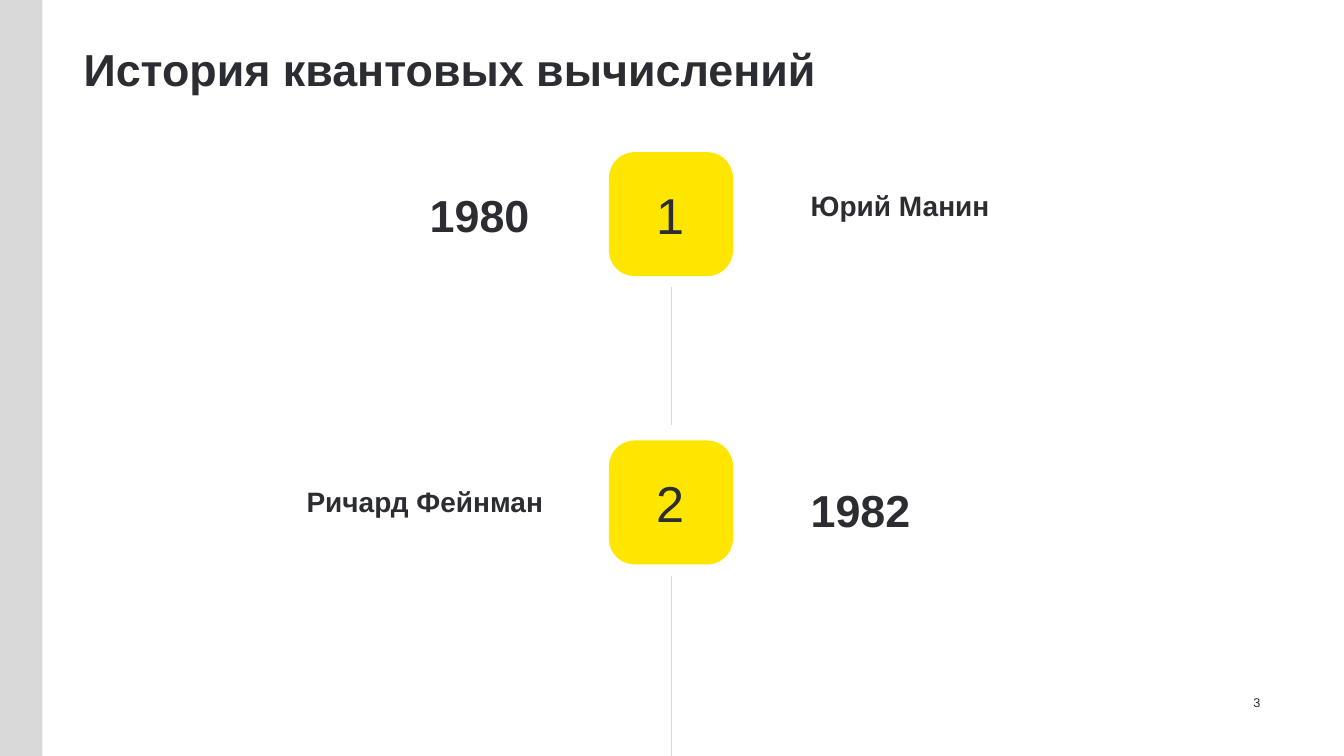
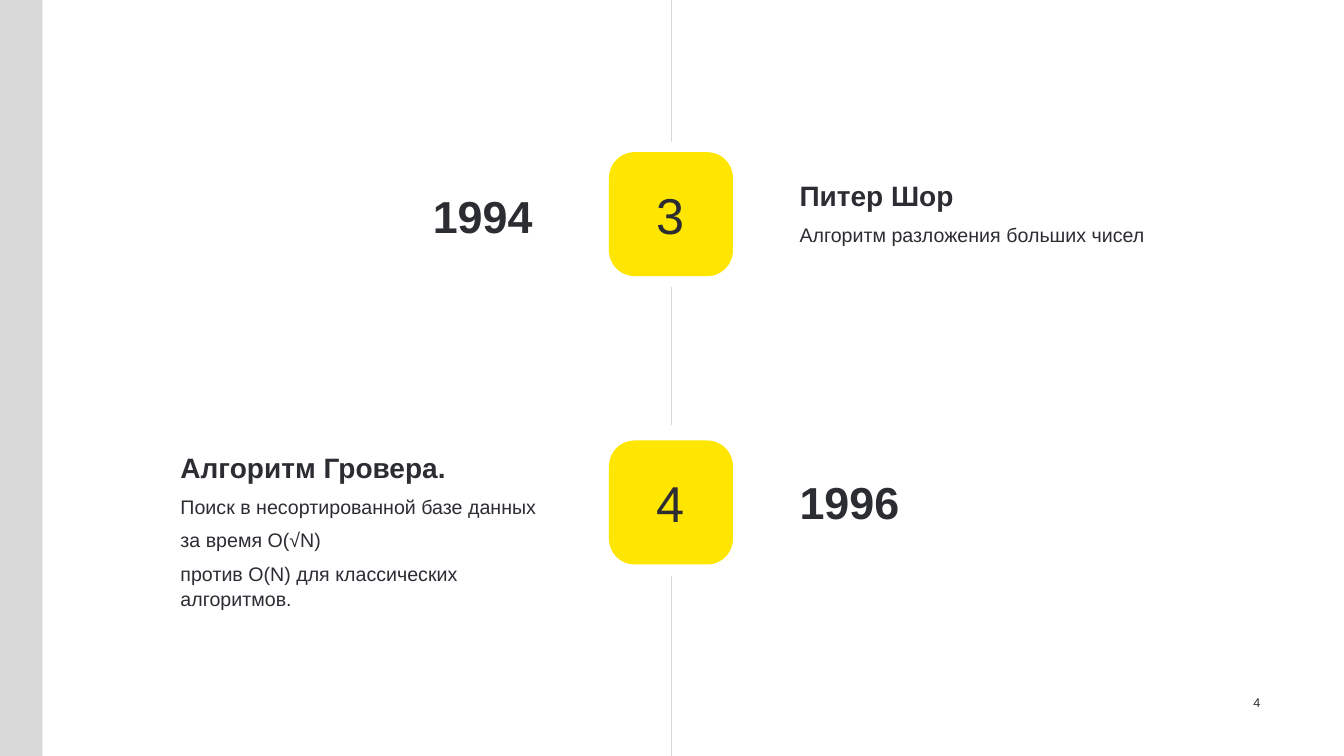
import pptx
import pptx.util
import pptx.dml.color
import pptx.enum.shapes
import pptx.enum.text
import pptx.oxml.ns
import lxml.etree

Inches = pptx.util.Inches
Pt = pptx.util.Pt
Align = pptx.enum.text.PP_ALIGN
Anchor = pptx.enum.text.MSO_ANCHOR
Preset = pptx.enum.shapes.MSO_SHAPE

COLORS = {"text": "2B2D33", "accent": "FEE600", "neutral": "D9D9D9", "background": "FFFFFF"}
FONT = "Arial"
SLIDE_WIDTH, SLIDE_HEIGHT = 13.33, 7.5
SPINE_X = 6.66
BADGE_LEFT, BADGE_SIZE = 6.04, 1.23
BADGE_TOPS = (1.51, 4.37)


def color(name):
    return pptx.dml.color.RGBColor.from_string(COLORS[name])


class Deck:
    def __init__(self):
        self.presentation = pptx.Presentation()
        self.presentation.slide_width = Inches(SLIDE_WIDTH)
        self.presentation.slide_height = Inches(SLIDE_HEIGHT)
        self.slide = None

    def add_slide(self, number):
        self.slide = self.presentation.slides.add_slide(self.presentation.slide_layouts[6])
        background = self.slide.background.fill
        background.solid()
        background.fore_color.rgb = color("background")
        self.block(Preset.RECTANGLE, (0, 0, 0.42, SLIDE_HEIGHT), "neutral")
        self.text((11.67, 6.67, 0.83, 0.42), [(str(number), 9, False)], align=Align.RIGHT,
                  anchor=Anchor.BOTTOM, margins=(0.1, 0))

    def block(self, preset, box, fill):
        shape = self.slide.shapes.add_shape(preset, *map(Inches, box))
        shape.shadow.inherit = False
        shape.fill.solid()
        shape.fill.fore_color.rgb = color(fill)
        shape.line.fill.background()
        return shape

    def style(self, paragraph, size, bold, align):
        paragraph.alignment = align
        font = paragraph.font
        font.name = FONT
        font.size = Pt(size)
        font.bold = bold
        font.color.rgb = color("text")

    def text(self, box, lines, align=Align.LEFT, anchor=Anchor.TOP, margins=(0, 0.1)):
        frame = self.slide.shapes.add_textbox(*map(Inches, box)).text_frame
        frame.word_wrap = True
        frame.vertical_anchor = anchor
        frame.margin_left, frame.margin_right = map(Inches, margins)
        for index, (words, size, bold) in enumerate(lines):
            paragraph = frame.add_paragraph() if index else frame.paragraphs[0]
            paragraph.text = words
            paragraph.line_spacing = 0.9 if bold else 1.07
            if index:
                paragraph.space_before = Pt(6)
            self.style(paragraph, size, bold, align)

    def title(self, words):
        self.text((0.83, 0.42, 11.67, 0.62), [(words, 32, True)])

    def year(self, box, words, align=Align.LEFT):
        self.text(box, [(words, 32, True)], align)

    def event(self, box, heading, *details):
        self.text(box, [(heading, 20, True)] + [(detail, 14, False) for detail in details])

    def badge(self, number, top):
        shape = self.block(Preset.ROUNDED_RECTANGLE, (BADGE_LEFT, top, BADGE_SIZE, BADGE_SIZE), "accent")
        shape.adjustments[0] = 0.208
        shape.text_frame.vertical_anchor = Anchor.MIDDLE
        paragraph = shape.text_frame.paragraphs[0]
        paragraph.text = str(number)
        self.style(paragraph, 36, False, Align.CENTER)

    def spine(self, top, bottom):
        connector = self.slide.shapes.add_connector(
            pptx.enum.shapes.MSO_CONNECTOR.STRAIGHT,
            Inches(SPINE_X), Inches(top), Inches(SPINE_X), Inches(bottom))
        connector.line.color.rgb = color("neutral")
        connector.line.width = Pt(1)
        lxml.etree.SubElement(connector._element.spPr, pptx.oxml.ns.qn("a:effectLst"))

    def timeline(self, first_number):
        for number, top in enumerate(BADGE_TOPS, first_number):
            self.badge(number, top)
        self.spine(2.85, 4.22)
        self.spine(5.71, SLIDE_HEIGHT)


def main():
    deck = Deck()

    deck.add_slide(3)
    deck.title("История квантовых вычислений")
    deck.timeline(1)
    deck.year((3.82, 1.87, 1.53, 0.54), "1980", Align.RIGHT)
    deck.event((8.04, 1.86, 2.09, 0.47), "Юрий Манин")
    deck.event((3.04, 4.8, 2.48, 0.86), "Ричард Фейнман")
    deck.year((8.04, 4.8, 1.53, 0.47), "1982")

    deck.add_slide(4)
    deck.spine(0, 1.41)
    deck.timeline(3)
    deck.year((3.67, 1.88, 1.71, 0.49), "1994", Align.RIGHT)
    deck.event((7.93, 1.76, 3.77, 1.11), "Питер Шор", "Алгоритм разложения больших чисел")
    deck.event((1.79, 4.46, 3.77, 1.58), "Алгоритм Гровера.",
               "Поиск в несортированной базе данных",
               "за время O(√N)",
               "против O(N) для классических алгоритмов.")
    deck.year((7.93, 4.72, 1.7, 0.53), "1996")

    deck.presentation.save("out.pptx")


if __name__ == "__main__":
    main()
